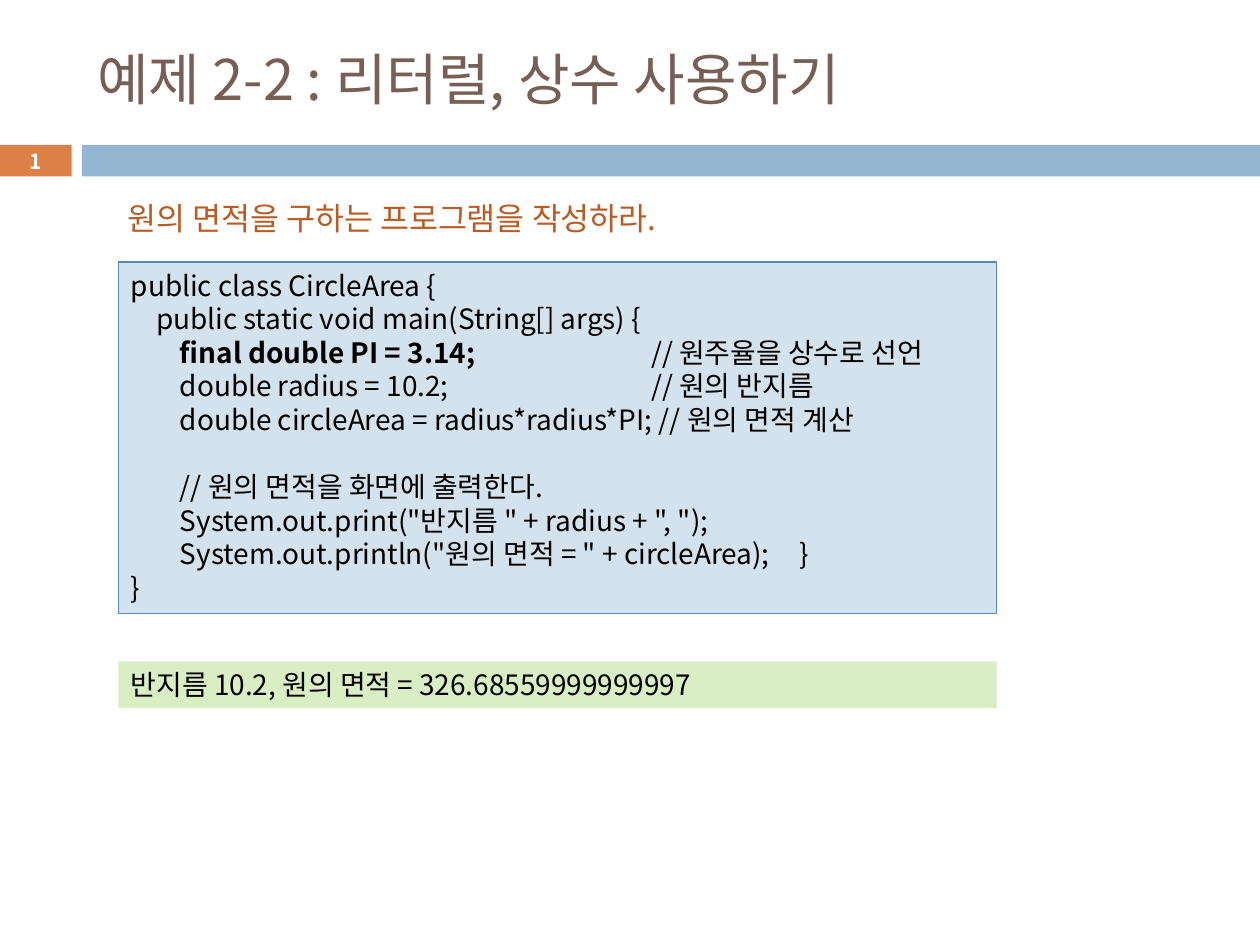
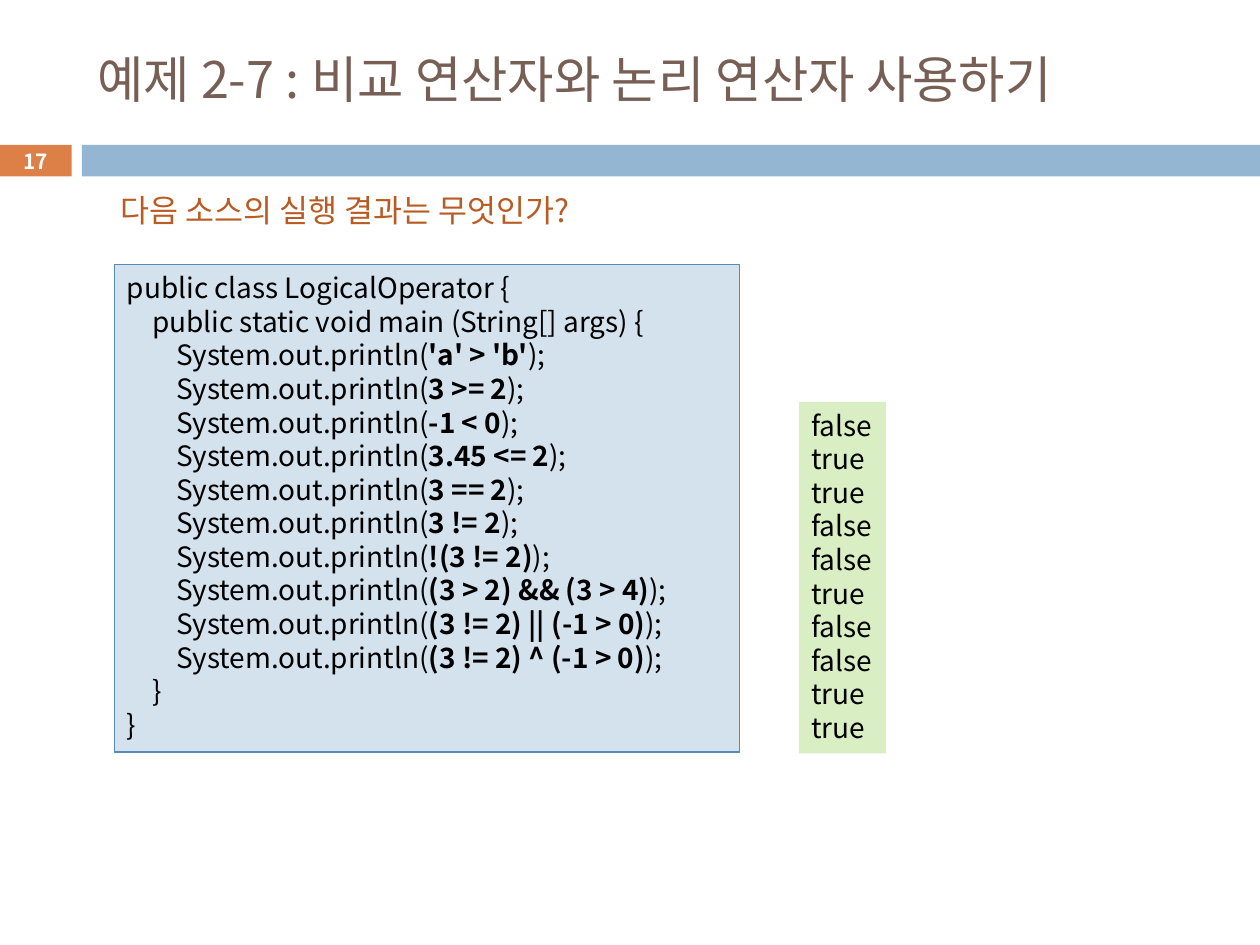
from lxml import etree
from pptx import Presentation
from pptx import util as u
from pptx.dml.color import RGBColor
from pptx.enum import shapes, text
from pptx.oxml import ns

FONT = "Noto Sans CJK KR"
COLUMNS, ROWS = 100, 75  # the grid that divides every slide


def colour(value):
    return RGBColor.from_string(value)


class Lesson:
    """Style of the deck and the slide being drawn."""
    TITLE, PROMPT, INK, WHITE = "775F55", "B95B22", "000000", "FFFFFF"
    ORANGE, BLUE = "DD8047", "94B6D2"
    CODE, CODE_EDGE, OUTPUT = "D4E2ED", "558BB8", "DAEEC4"
    CODE_SIZE, LINE = 16, 1.2
    TABS = (0.2, 0.39, 4.13, 5.31)  # two indents, comment column, last brace

    def __init__(self):
        self.deck = Presentation()
        self.deck.slide_width, self.deck.slide_height = u.Inches(10), u.Inches(7.5)
        self.page = None

    def place(self, left, top, width, height):
        column = self.deck.slide_width / COLUMNS
        row = self.deck.slide_height / ROWS
        return [round(n) for n in (left * column, top * row, width * column, height * row)]

    def start(self, title, number, size):
        """New slide with its title, bands and page number."""
        self.page = self.deck.slides.add_slide(self.deck.slide_layouts[5])
        box = self.page.shapes.title
        box.left, box.top, box.width, box.height = self.place(6.7, 2.5, 89.2, 7.4)
        self.fill_text(box, [title], size, self.TITLE, middle=True)
        self.band((6.5, 11.5, 93.5, 2.5), self.BLUE)
        badge = self.band((0, 11.5, 5.7, 2.5), self.ORANGE)
        self.fill_text(badge, [str(number)], 11.9, self.WHITE, bold=True, middle=True,
                       align=text.PP_ALIGN.CENTER)

    def band(self, area, fill, edge=None):
        box = self.page.shapes.add_shape(shapes.MSO_SHAPE.RECTANGLE, *self.place(*area))
        box.shadow.inherit = False
        box.fill.solid()
        box.fill.fore_color.rgb = colour(fill)
        if edge:
            box.line.color.rgb = colour(edge)
            box.line.width = u.Pt(0.75)
        else:
            box.line.fill.background()
        return box

    def prompt(self, area, words):
        box = self.page.shapes.add_textbox(*self.place(*area))
        self.fill_text(box, [words], 18, self.PROMPT, spacing=self.LINE)

    def code(self, area, lines):
        box = self.band(area, self.CODE, self.CODE_EDGE)
        self.fill_text(box, lines, self.CODE_SIZE, self.INK, spacing=self.LINE, tabs=self.TABS)

    def output(self, area, lines):
        box = self.band(area, self.OUTPUT)
        box.text_frame.margin_right = 0
        self.fill_text(box, lines, self.CODE_SIZE, self.INK, spacing=self.LINE)

    def fill_text(self, box, lines, size, ink, bold=False, middle=False,
                  align=text.PP_ALIGN.LEFT, spacing=None, tabs=()):
        """One paragraph a line; ** switches bold, an empty line becomes a gap."""
        frame = box.text_frame
        frame.word_wrap = True
        frame.auto_size = text.MSO_AUTO_SIZE.NONE
        frame.vertical_anchor = text.MSO_ANCHOR.MIDDLE if middle else text.MSO_ANCHOR.TOP
        para, gap = None, 0
        for line in lines:
            if not line:
                gap += 1
                continue
            para = frame.add_paragraph() if para else frame.paragraphs[0]
            para.alignment = align
            if spacing:
                para.line_spacing = u.Pt(size * spacing)
                if gap:
                    para.space_before = u.Pt(size * spacing * gap)
            gap = 0
            self.style(para, size, ink, tabs)
            for index, part in enumerate(line.split("**")):
                if part:
                    span = para.add_run()
                    span.text = part
                    span.font.bold = bold or index % 2 == 1

    def style(self, para, size, ink, tabs):
        para.font.size, para.font.name = u.Pt(size), FONT
        para.font.color.rgb = colour(ink)
        # East Asian font and tab stops
        defaults = para._p.pPr.find(ns.qn("a:defRPr"))
        etree.SubElement(defaults, ns.qn("a:ea"), typeface=FONT)
        if tabs:
            stops = etree.Element(ns.qn("a:tabLst"))
            for stop in tabs:
                etree.SubElement(stops, ns.qn("a:tab"), pos=str(u.Inches(stop)), algn="l")
            defaults.addprevious(stops)


lesson = Lesson()

# Literals and constants
lesson.start("예제 2-2 : 리터럴, 상수 사용하기", 1, 32)
lesson.prompt((9.1, 15.3, 48.9, 4), "원의 면적을 구하는 프로그램을 작성하라.")
lesson.code((9.4, 20.8, 69.7, 27.9), [
    "public class CircleArea {",
    "\tpublic static void main(String[] args) {",
    "\t\t**final double PI = 3.14;**\t// 원주율을 상수로 선언",
    "\t\tdouble radius = 10.2;\t// 원의 반지름",
    "\t\tdouble circleArea = radius*radius*PI; // 원의 면적 계산",
    "",
    "\t\t// 원의 면적을 화면에 출력한다.",
    '\t\tSystem.out.print("반지름 " + radius + ", ");',
    '\t\tSystem.out.println("원의 면적 = " + circleArea);\t}',
    "}",
])
lesson.output((9.4, 52.5, 69.7, 3.7), ["반지름 10.2, 원의 면적 = 326.68559999999997"])

# Comparison and logical operators
tests = ["'a' > 'b'", "3 >= 2", "-1 < 0", "3.45 <= 2", "3 == 2", "3 != 2", "!(3 != 2)",
         "(3 > 2) && (3 > 4)", "(3 != 2) || (-1 > 0)", "(3 != 2) ^ (-1 > 0)"]
lesson.start("예제 2-7 : 비교 연산자와 논리 연산자 사용하기", 17, 28.8)
lesson.prompt((8.6, 14.7, 41.8, 4), "다음 소스의 실행 결과는 무엇인가?")
lesson.code((9.1, 21, 49.6, 38.7), [
    "public class LogicalOperator {",
    "\tpublic static void main (String[] args) {",
    *[f"\t\tSystem.out.println(**{test}**);" for test in tests],
    "\t}",
    "}",
])
lesson.output((63.4, 31.9, 6.9, 27.9),
              "false true true false false true false false true true".split())

lesson.deck.save("out.pptx")
